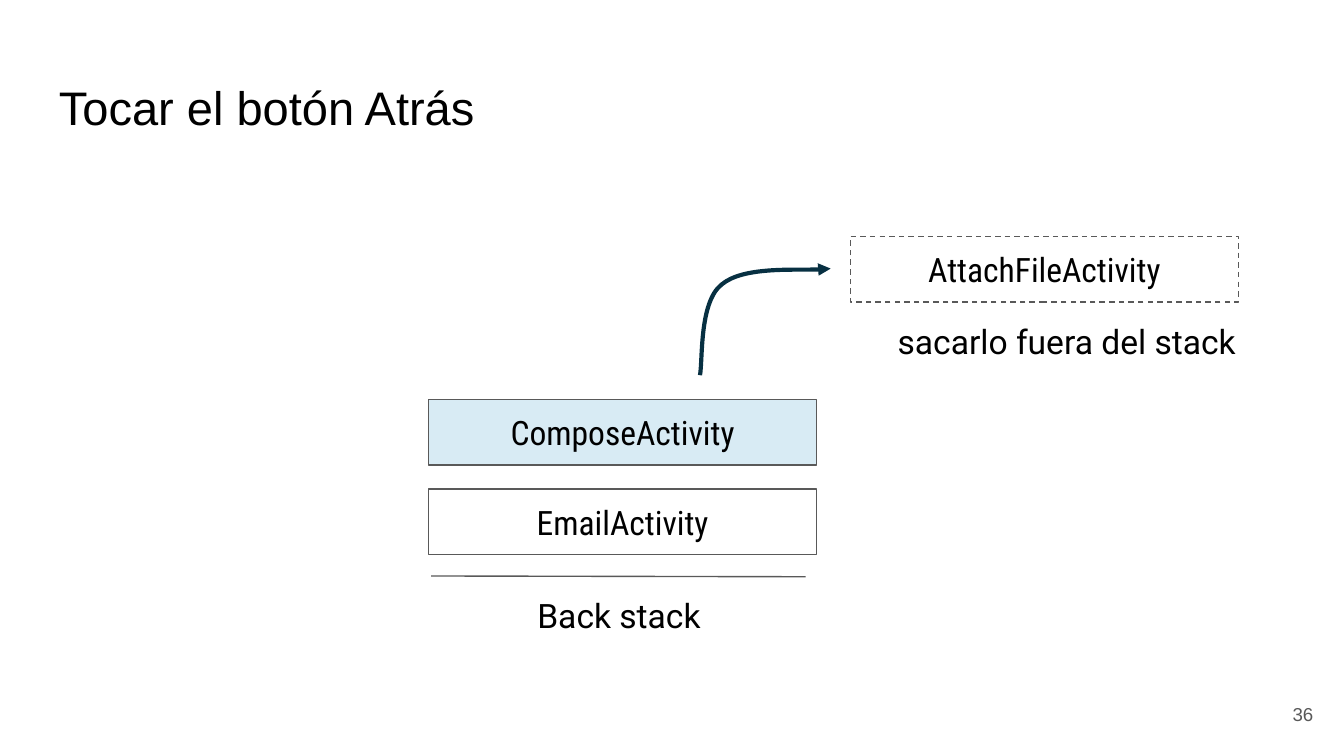
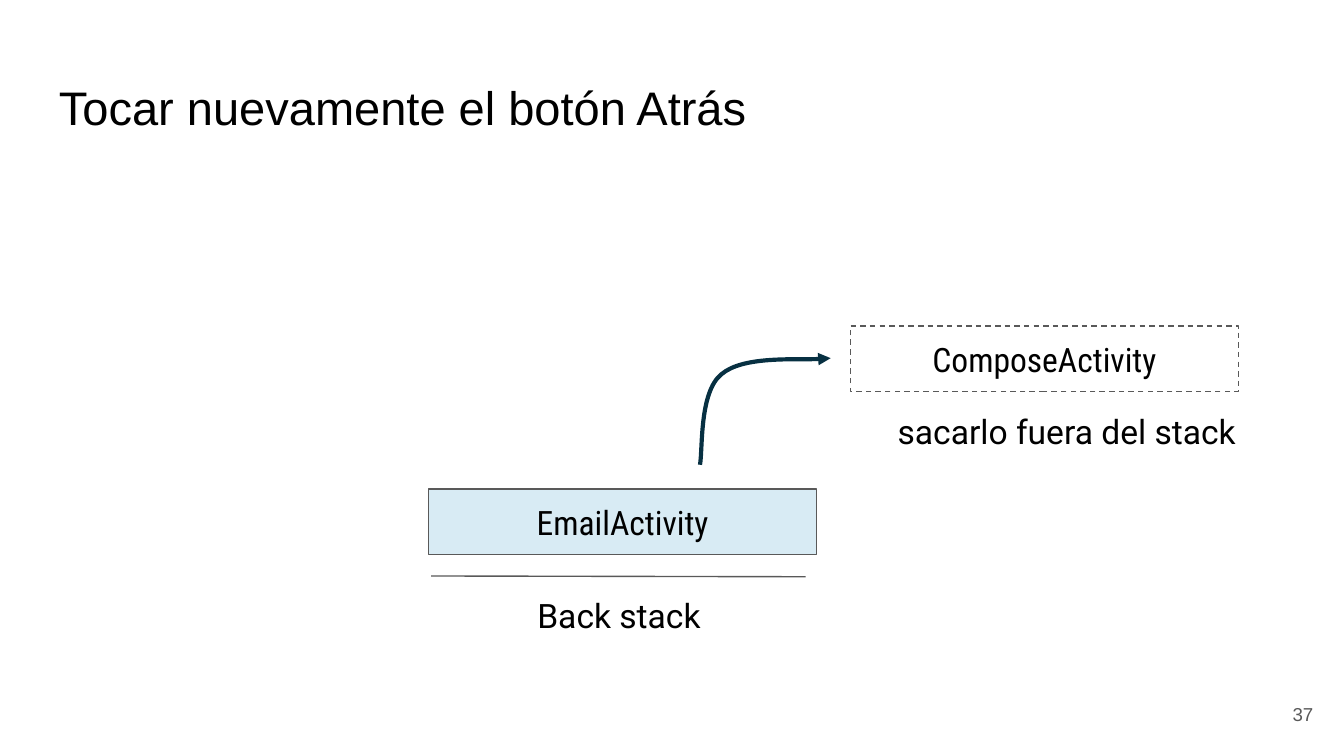
"""Builds two slides that show activities being popped off the back stack."""
from dataclasses import dataclass

from lxml.etree import SubElement
from pptx import Presentation
from pptx.dml.color import RGBColor as Color
from pptx.enum.dml import MSO_LINE_DASH_STYLE as Dash
from pptx.enum.shapes import MSO_CONNECTOR as Connector, MSO_SHAPE as Shape
from pptx.enum.text import MSO_ANCHOR as Anchor, PP_ALIGN as Align
from pptx.oxml.ns import qn
from pptx.util import Pt


@dataclass(frozen=True)
class Theme:
    ink: Color = Color.from_string("000000")
    gray: Color = Color.from_string("595959")
    white: Color = Color.from_string("FFFFFF")
    blue: Color = Color.from_string("0E87C0")
    navy: Color = Color.from_string("073042")
    plain: str = "Arial"
    label: str = "Roboto"
    activity: str = "Roboto Condensed"
    title_size: float = 25.2
    label_size: int = 18
    number_size: int = 10


theme = Theme()


def write(box, text, font=theme.label, size=theme.label_size, color=theme.ink,
          align=Align.LEFT, anchor=Anchor.MIDDLE):
    frame = box.text_frame
    frame.word_wrap = True
    frame.vertical_anchor = anchor
    frame.margin_left = frame.margin_right = Pt(7.2)
    frame.margin_top = frame.margin_bottom = Pt(7.2)
    para = frame.paragraphs[0]
    para.alignment = align
    span = para.add_run()
    span.text = text
    span.font.name = font
    span.font.size = Pt(size)
    span.font.color.rgb = color


BOX_WIDTH, BOX_HEIGHT = 208, 35.2
STACK_LEFT, STACK_BOTTOM, STACK_STEP = 229.6, 262, 48
POPPED_LEFT, POPPED_RISE = 455.6, 87.4
CURVE = [(375, 74.4), (376.5, 66.4), (374.5, 35.4), (386.5, 25.9),
         (398, 16.1), (435.5, 18.8), (445, 17.3)]

SLIDES = [
    ("Tocar el botón Atrás", 36, ["EmailActivity", "ComposeActivity"], "AttachFileActivity"),
    ("Tocar nuevamente el botón Atrás", 37, ["EmailActivity"], "ComposeActivity"),
]

deck = Presentation()
deck.slide_width, deck.slide_height = Pt(720), Pt(405)

for title, number, stack, popped in SLIDES:
    page = deck.slides.add_slide(deck.slide_layouts[6])

    title_box = page.shapes.add_textbox(Pt(24.5), Pt(35), Pt(671), Pt(45.4))
    write(title_box, title, font=theme.plain, size=theme.title_size, anchor=Anchor.TOP)
    number_box = page.shapes.add_textbox(Pt(667.4), Pt(367.2), Pt(43.2), Pt(31))
    write(number_box, str(number), font=theme.plain, size=theme.number_size,
          color=theme.gray, align=Align.RIGHT)
    stack_label = page.shapes.add_textbox(Pt(243.4), Pt(320.4), Pt(176.4), Pt(18.7))
    write(stack_label, "Back stack", align=Align.CENTER)

    base = page.shapes.add_connector(Connector.STRAIGHT, Pt(231), Pt(308.6), Pt(431.6), Pt(309))
    base.line.color.rgb = theme.gray
    base.line.width = Pt(0.75)
    SubElement(base.element.spPr, qn("a:effectLst"))

    boxes = [(name, STACK_LEFT, STACK_BOTTOM - level * STACK_STEP)
             for level, name in enumerate(stack)]
    popped_top = boxes[-1][2] - POPPED_RISE
    boxes.append((popped, POPPED_LEFT, popped_top))
    for name, left, top in boxes:
        box = page.shapes.add_shape(Shape.RECTANGLE, Pt(left), Pt(top),
                                    Pt(BOX_WIDTH), Pt(BOX_HEIGHT))
        box.shadow.inherit = False
        box.fill.solid()
        box.fill.fore_color.rgb = theme.white
        box.line.color.rgb = theme.gray
        box.line.width = Pt(0.75)
        if name == stack[-1]:
            box.fill.fore_color.rgb = theme.blue
            tint = box.element.spPr.find(qn("a:solidFill")).find(qn("a:srgbClr"))
            SubElement(tint, qn("a:alpha"), val="16000")
        if name == popped:
            box.line.dash_style = Dash.DASH
        write(box, name, font=theme.activity, align=Align.CENTER)

    start, *bends = [(Pt(x), Pt(popped_top + y)) for x, y in CURVE]
    builder = page.shapes.build_freeform(*start)
    builder.add_line_segments(bends, close=False)
    arrow = builder.convert_to_shape()
    arrow.shadow.inherit = False
    arrow.fill.background()
    arrow.line.color.rgb = theme.navy
    arrow.line.width = Pt(2.25)
    SubElement(arrow.line._get_or_add_ln(), qn("a:tailEnd"), type="triangle")
    segments = list(arrow.element.iter(qn("a:lnTo")))
    outline = segments[0].getparent()
    for first in range(0, len(segments), 3):
        bezier = SubElement(outline, qn("a:cubicBezTo"))
        for segment in segments[first:first + 3]:
            bezier.append(segment[0])
            outline.remove(segment)

    popped_label = page.shapes.add_textbox(Pt(473.8), Pt(popped_top + 38.4),
                                           Pt(BOX_WIDTH), Pt(BOX_HEIGHT))
    write(popped_label, "sacarlo fuera del stack", anchor=Anchor.TOP)

deck.save("out.pptx")
